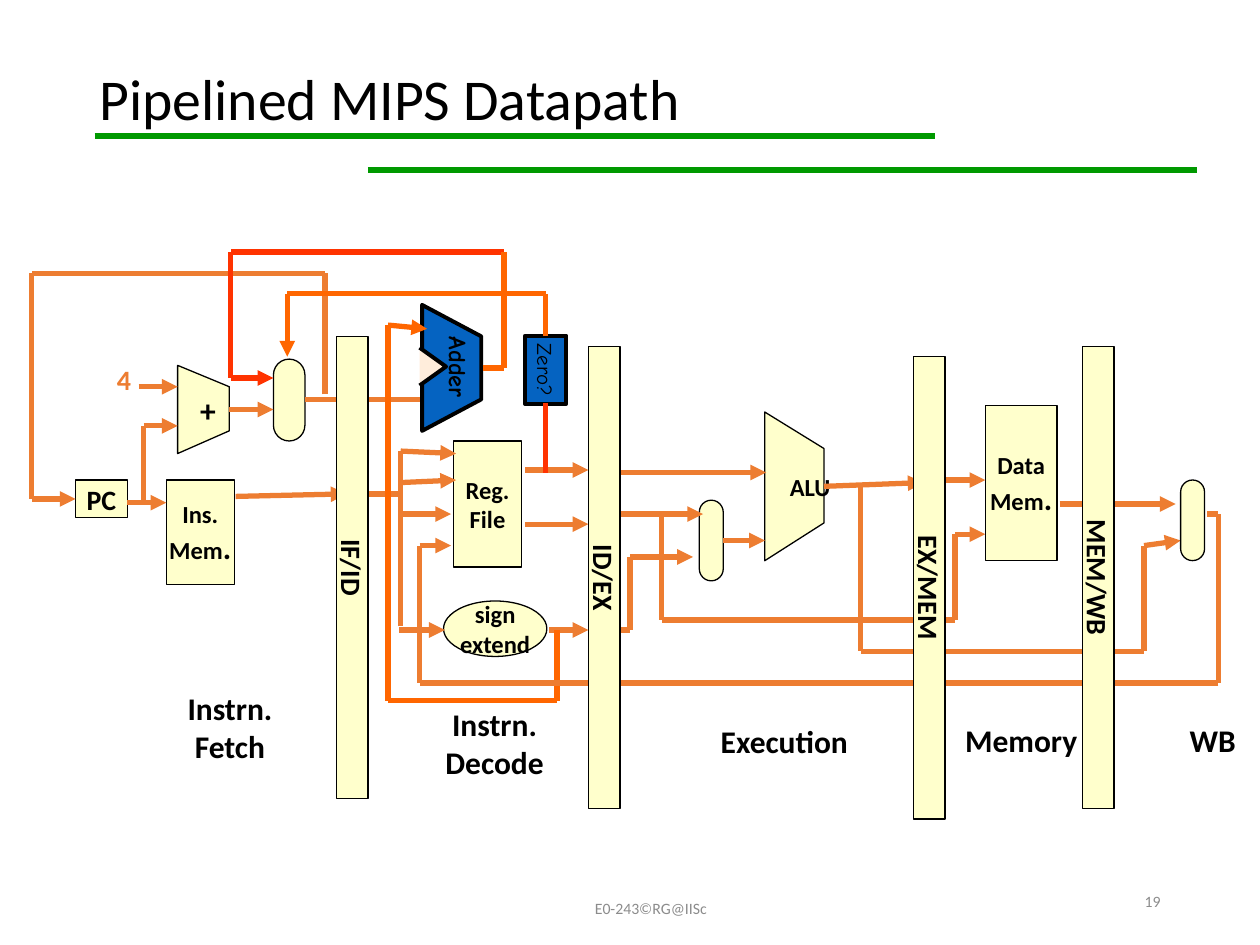
import collections

import pptx
import pptx.dml.color
import pptx.enum.shapes
import pptx.enum.text
import pptx.oxml
import pptx.oxml.ns
import pptx.util
from pptx.util import Inches

COLORS = {
    "ink": "000000", "rule": "009900", "muted": "8C8C8C", "block": "FFFFCC",
    "wire": "ED7D31", "branch": "FF6600", "target": "FF3300",
    "early": "0563C1", "notch": "FFEDDB",
}
SHAPES = pptx.enum.shapes.MSO_SHAPE
ALIGN = pptx.enum.text.PP_ALIGN
ANCHOR = pptx.enum.text.MSO_ANCHOR
Box = collections.namedtuple("Box", "left top width height")


def color(name):
    return pptx.dml.color.RGBColor.from_string(COLORS[name])


def within(box, left, top, width, height):
    return Box(box.left + left, box.top + top, width, height)


def lengths(values):
    return [Inches(value) for value in values]


def write(shape, text, size=14, bold=True, ink="ink", font="Calibri",
          align=ALIGN.CENTER, anchor=ANCHOR.MIDDLE, wrap=False, spacing=None, stop_size=18):
    frame = shape.text_frame
    frame.word_wrap = wrap
    frame.vertical_anchor = anchor
    for index, line in enumerate(text.split("\n")):
        para = frame.paragraphs[0] if index == 0 else frame.add_paragraph()
        para.alignment = align
        para.line_spacing = spacing
        body, stop, rest = line.partition(".") if line == "Mem." else (line, "", "")
        for part, part_size in ((body, size), (stop, stop_size)):
            if part:
                span = para.add_run()
                span.text = part
                span.font.name = font
                span.font.size = pptx.util.Pt(part_size)
                span.font.bold = bold
                span.font.color.rgb = color(ink)


def label(page, box, text, rotation=0, **style):
    shape = page.shapes.add_textbox(*lengths(box))
    shape.rotation = rotation
    write(shape, text, **style)


def caption(page, box, text):
    label(page, box, text, size=18, anchor=ANCHOR.TOP, wrap=True)


def paint(shape, fill, weight):
    shape.shadow.inherit = False
    shape.fill.solid()
    shape.fill.fore_color.rgb = color(fill)
    shape.line.color.rgb = color("ink")
    shape.line.width = pptx.util.Pt(weight)


def block(page, box, text="", kind=SHAPES.RECTANGLE, rotation=0,
          fill="block", weight=0.75, **style):
    shape = page.shapes.add_shape(kind, *lengths(box))
    shape.rotation = rotation
    paint(shape, fill, weight)
    if text:
        write(shape, text, **style)
    return shape


def mux(page, box):
    shape = block(page, box, kind=SHAPES.ROUNDED_RECTANGLE)
    shape.adjustments[0] = 0.5
    return shape


def outline(page, box, points, fill="block", weight=0.75, close=True):
    corners = [lengths((box.left + x, box.top + y)) for x, y in points]
    builder = page.shapes.build_freeform(*corners[0])
    builder.add_line_segments(corners[1:], close=close)
    shape = builder.convert_to_shape()
    paint(shape, fill, weight)
    return shape


def route(page, box, points, ink="wire", arrow=True, start=None, end=None):
    corners = [lengths((box.left + x, box.top + y)) for x, y in points]
    wires = []
    for first, last in zip(corners, corners[1:]):
        wire = page.shapes.add_connector(
            pptx.enum.shapes.MSO_CONNECTOR.STRAIGHT, *first, *last)
        wire.line.color.rgb = color(ink)
        wire.line.width = pptx.util.Pt(3)
        pptx.oxml.ns.qn("a:effectLst")
        wires.append(wire)
    if start:
        wires[0].begin_connect(*start)
        wires[0].begin_x, wires[0].begin_y = corners[0]
    if end:
        wires[-1].end_connect(*end)
        wires[-1].end_x, wires[-1].end_y = corners[-1]
    if arrow:
        head = pptx.oxml.parse_xml(
            '<a:tailEnd %s type="triangle"/>' % pptx.oxml.ns.nsdecls("a"))
        wires[-1].line._get_or_add_ln().append(head)
    for wire in wires:
        wire._element.spPr.append(pptx.oxml.parse_xml(
            "<a:effectLst %s/>" % pptx.oxml.ns.nsdecls("a")))


def header(page, box):
    for left, right, y in ((0.06, 6.64, 0.68), (2.23, 8.81, 0.95), (0.14, 6.73, 0.68)):
        route(page, box, [(left, y), (right, y)], ink="rule", arrow=False)
    label(page, box, "Pipelined MIPS Datapath", size=33, bold=False,
          align=ALIGN.LEFT, wrap=True, spacing=0.9)


def footer(page, box):
    style = dict(size=9, bold=False, ink="muted", wrap=True)
    label(page, within(box, 2.89, 0.13, 3.17, 0.25), "E0-243©RG@IISc", **style)
    label(page, within(box, 6.37, 0, 2.25, 0.4), "19", align=ALIGN.RIGHT, **style)


def fetch_stage(page, box):
    block(page, within(box, 1.32, 1.81, 0.54, 0.83), "Ins.\nMem.")
    counter = block(page, within(box, 0.6, 1.81, 0.41, 0.3), "PC", size=16)
    plus = outline(page, box, [(1.41, 0.9), (1.82, 1.07), (1.82, 1.42), (1.41, 1.6)])
    write(plus, "+", size=18)
    plus.text_frame.margin_left, plus.text_frame.margin_right = Inches(0.07), 0
    selector = mux(page, within(box, 2.17, 0.85, 0.25, 0.65))
    label(page, within(box, 0.83, 0.83, 0.58, 0.37), "4", size=16, ink="wire",
          align=ALIGN.LEFT, anchor=ANCHOR.TOP, wrap=True)
    for points in (
        [(1.01, 1.99), (1.32, 1.99)],
        [(1.14, 1.99), (1.14, 1.38), (1.41, 1.38)],
        [(1.82, 1.25), (2.17, 1.25)],
        [(1.87, 1.94), (2.75, 1.92)],
        [(1.1, 1.07), (1.41, 1.07)],
    ):
        route(page, box, points)
    route(page, box, [(2.42, 1.17), (3.33, 1.17)], arrow=False, start=(selector, 3))
    route(page, box, [(2.58, 1.13), (2.58, 0.17), (0.25, 0.17), (0.25, 1.96), (0.6, 1.96)],
          end=(counter, 1))
    route(page, box, [(4, 0), (1.83, 0), (1.83, 1), (2.17, 1)], ink="target")
    caption(page, within(box, 1.17, 3.42, 1.31, 0.7), "Instrn. Fetch")


def decode_stage(page, box):
    block(page, within(box, 0.6, 1.5, 0.54, 1), "Reg.\nFile")
    block(page, within(box, 0.52, 2.77, 0.82, 0.44), "sign\nextend", kind=SHAPES.OVAL)
    zero = block(page, within(box, 1.06, 0.77, 0.54, 0.33), "Zero?", rotation=90,
                 fill="early", weight=2.25, size=12, bold=False, font="Comic Neue")
    outline(page, box, [(0.35, 0.42), (0.82, 0.67), (0.82, 1.17), (0.35, 1.42)],
            fill="early", weight=2.25)
    outline(page, box, [(0.33, 0.76), (0.54, 0.91), (0.33, 1.06)],
            fill="notch", weight=2.25, close=False)
    label(page, within(box, 0.25, 0.75, 0.78, 0.33), "Adder", rotation=90, font="Comic Neue")
    route(page, box, [(-0.17, 1.92), (0.17, 1.92)], arrow=False)
    for points in (
        [(0.18, 2.97), (0.18, 1.58), (0.62, 1.6)],
        [(0.18, 1.83), (0.62, 1.81)],
        [(0.17, 2.08), (0.58, 2.08)],
        [(0.17, 3), (0.53, 3)],
        [(1.17, 1.73), (1.67, 1.73)],
        [(1.17, 2.16), (1.67, 2.16)],
        [(1.36, 3), (1.67, 3)],
    ):
        route(page, box, points)
    route(page, box, [(1.33, 1.2), (1.33, 1.75)], ink="target", arrow=False, start=(zero, 3))
    route(page, box, [(1.33, 0.67), (1.33, 0.33), (-0.72, 0.33), (-0.72, 0.83)],
          ink="branch", start=(zero, 1))
    route(page, box, [(1.42, 3), (1.42, 3.56), (0.08, 3.56), (0.08, 0.58), (0.39, 0.61)],
          ink="branch")
    route(page, box, [(0.83, 0.92), (1, 0.92), (1, 0)], ink="branch", arrow=False)
    caption(page, within(box, 0.27, 3.55, 1.31, 0.7), "Instrn. Decode")


def execution_stage(page, box):
    unit = outline(page, box, [(1.07, 1.27), (1.54, 1.56), (1.54, 2.15), (1.07, 2.45)])
    write(unit, "ALU")
    unit.text_frame.margin_left, unit.text_frame.margin_right = Inches(0.25), 0
    selector = mux(page, within(box, 0.55, 1.97, 0.19, 0.64))
    for points in (
        [(-0.17, 3), (0, 3), (0, 2.42), (0.5, 2.42)],
        [(-0.08, 1.75), (1.08, 1.75)],
        [(-0.17, 2.08), (0.58, 2.08)],
        [(0.25, 2.08), (0.25, 2.92), (2.58, 2.92), (2.58, 2.24), (2.82, 2.24)],
        [(1.54, 1.86), (2.33, 1.83)],
        [(1.83, 1.83), (1.83, 3.17), (4.08, 3.17), (4.08, 2.33), (4.37, 2.29)],
    ):
        route(page, box, points)
    route(page, box, [(0.74, 2.29), (1.07, 2.29)], start=(selector, 3))
    caption(page, within(box, 0.54, 3.68, 1.37, 0.4), "Execution")


def memory_stage(page, box):
    block(page, within(box, 0.82, 1.22, 0.57, 1.23), "Data\nMem.")
    route(page, box, [(0.3, 1.81), (0.82, 1.81)])
    route(page, box, [(1.41, 2), (2.33, 2)])
    caption(page, within(box, 0.42, 3.67, 1.37, 0.4), "Memory")


def write_back_stage(page, box):
    mux(page, within(box, 0.37, 1.81, 0.19, 0.64))
    route(page, box, [(0.58, 2.08), (0.67, 2.08), (0.67, 3.42),
                      (-5.67, 3.42), (-5.67, 2.33), (-5.42, 2.33)])
    caption(page, within(box, 0.25, 3.67, 0.75, 0.4), "WB")


def pipeline_registers(page, box):
    for text, left, top in (("IF/ID", 0.96, 2.38), ("ID/EX", 2.96, 2.46),
                            ("EX/MEM", 5.54, 2.54), ("MEM/WB", 6.88, 2.46)):
        block(page, within(box, left, top, 3.67, 0.25), text, rotation=90, size=16)


def main():
    deck = pptx.Presentation()
    deck.slide_width, deck.slide_height = lengths((10, 7.5))
    page = deck.slides.add_slide(deck.slide_layouts[6])
    header(page, Box(0.69, 0.4, 8.62, 0.82))
    footer(page, Box(0.69, 6.95, 8.62, 0.4))
    fetch_stage(page, Box(0, 2, 2.67, 4.5))
    decode_stage(page, Box(3, 2, 1.67, 4.5))
    execution_stage(page, Box(5, 2, 2.25, 4.5))
    memory_stage(page, Box(7, 2, 1.58, 4.5))
    write_back_stage(page, Box(9, 2, 1, 4.5))
    pipeline_registers(page, Box(0, 2, 10, 4.5))
    deck.save("out.pptx")


if __name__ == "__main__":
    main()
